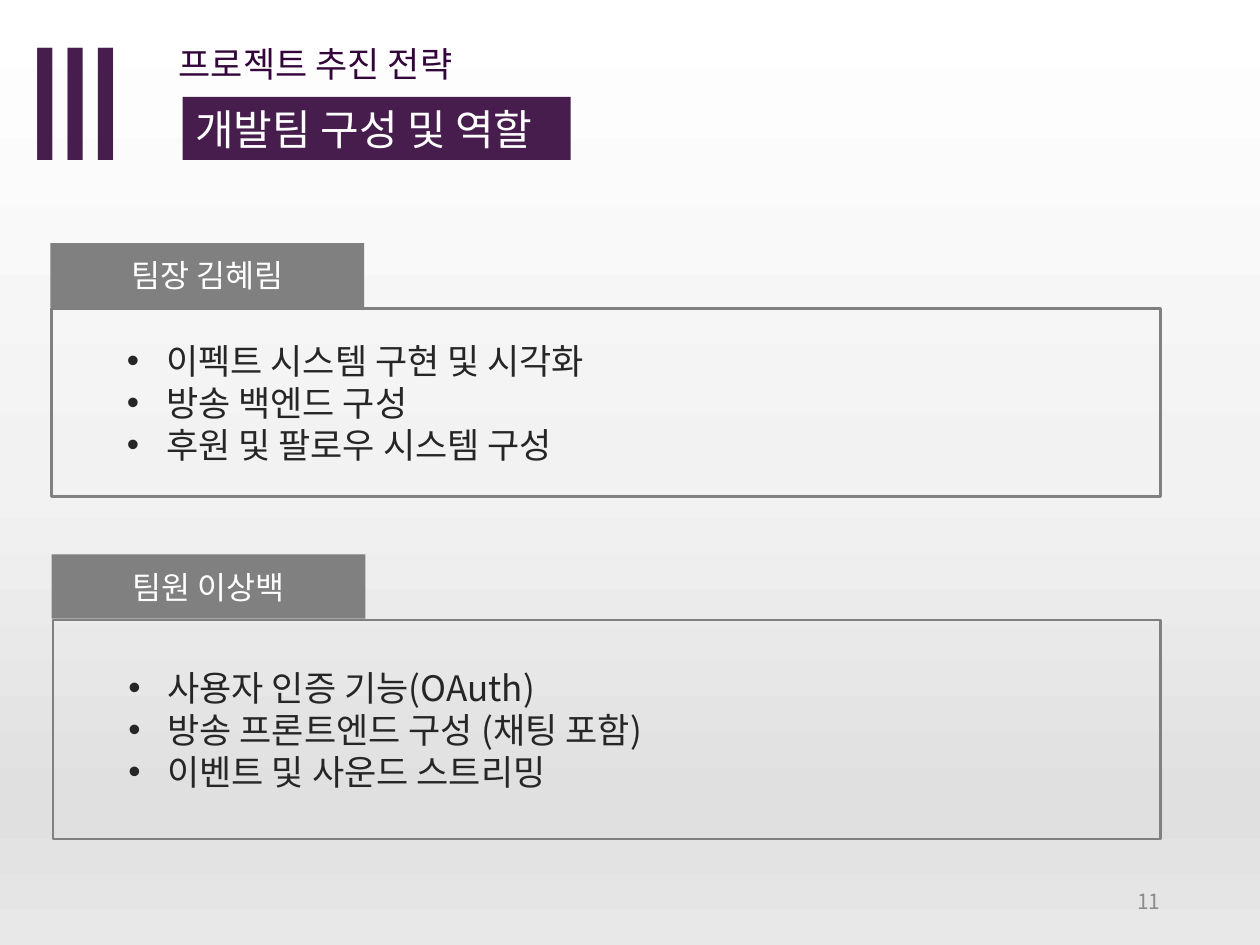
from dataclasses import dataclass

from lxml.etree import SubElement
from pptx import Presentation
from pptx.dml.color import RGBColor
from pptx.enum.shapes import MSO_SHAPE
from pptx.enum.text import MSO_ANCHOR, MSO_AUTO_SIZE, PP_ALIGN
from pptx.oxml.ns import qn
from pptx.util import Inches, Pt

NUMERAL = "Ⅲ"
SECTION = "프로젝트 추진 전략"
TITLE = "개발팀 구성 및 역할"
PAGE_NUMBER = "11"

# name, tasks, left and top of the name tab, height of the task box
MEMBERS = [
    ("팀장 김혜림",
     ["이펙트 시스템 구현 및 시각화", "방송 백엔드 구성", "후원 및 팔로우 시스템 구성"],
     0.40, 1.93, 1.49),
    ("팀원 이상백",
     ["사용자 인증 기능(OAuth)", "방송 프론트엔드 구성 (채팅 포함)", "이벤트 및 사운드 스트리밍"],
     0.41, 4.40, 1.74),
]
TAB_WIDTH, TAB_HEIGHT = 2.49, 0.51
TASKS_OFFSET = 0.52
TASKS_RIGHT = 9.21


@dataclass(frozen=True)
class Theme:
    body_font: str = "Noto Sans CJK KR"
    numeral_font: str = "Arial Narrow"
    purple: str = "461D4D"
    section: str = "33053B"
    gray: str = "808080"
    ink: str = "262626"
    page: str = "8C8C8C"
    white: str = "FFFFFF"
    numeral_size: int = 88
    title_size: int = 24
    text_size: int = 20
    name_size: int = 18
    page_size: int = 12
    backdrop: tuple = ((0, "FFFFFF"), (51, "F2F2F2"), (85, "E0E0E0"), (100, "E8E8E8"))


THEME = Theme()


def paint_backdrop(slide):
    fill = slide.background.fill
    fill.gradient()
    fill.gradient_angle = 270
    stops = slide.element.find(".//" + qn("a:gsLst"))
    for stop in list(stops):
        stops.remove(stop)
    for percent, color in THEME.backdrop:
        stop = SubElement(stops, qn("a:gs"), pos=str(percent * 1000))
        SubElement(stop, qn("a:srgbClr"), val=color)


def add_box(slide, place, fill=None, line=None):
    box = slide.shapes.add_shape(MSO_SHAPE.RECTANGLE, *map(Inches, place))
    box.shadow.inherit = False
    if fill:
        box.fill.solid()
        box.fill.fore_color.rgb = RGBColor.from_string(fill)
    else:
        box.fill.background()
    if line:
        box.line.color.rgb = RGBColor.from_string(line)
        box.line.width = Pt(1.5)
    else:
        box.line.fill.background()
    return box


def add_label(slide, place):
    return slide.shapes.add_textbox(*map(Inches, place))


def write(shape, text, size, color, font=THEME.body_font, align=PP_ALIGN.LEFT, fitted=False):
    """Fill a shape with text; a fitted shape is one unwrapped line from the top."""
    frame = shape.text_frame
    frame.text = text
    frame.word_wrap = not fitted
    frame.vertical_anchor = MSO_ANCHOR.TOP if fitted else MSO_ANCHOR.MIDDLE
    if fitted:
        frame.auto_size = MSO_AUTO_SIZE.SHAPE_TO_FIT_TEXT
    for paragraph in frame.paragraphs:
        paragraph.alignment = align
        for run in paragraph.runs:
            run.font.size = Pt(size)
            run.font.color.rgb = RGBColor.from_string(color)
            run.font.name = font
            SubElement(run.font._element, qn("a:ea"), typeface=font)


def add_bullets(shape):
    for paragraph in shape.text_frame.paragraphs:
        paragraph.level = 1
        properties = paragraph._p.get_or_add_pPr()
        properties.set("marL", str(Inches(0.81)))
        properties.set("indent", str(Inches(-0.31)))
        SubElement(properties, qn("a:buFont"), typeface="Arial")
        SubElement(properties, qn("a:buChar"), char="•")


def add_member(slide, name, tasks, left, top, height):
    tasks_left = left + 0.01
    tasks_box = add_box(
        slide, (tasks_left, top + TASKS_OFFSET, TASKS_RIGHT - tasks_left, height), line=THEME.gray)
    write(tasks_box, "\n".join(tasks), THEME.text_size, THEME.ink)
    add_bullets(tasks_box)
    name_tab = add_box(slide, (left, top, TAB_WIDTH, TAB_HEIGHT), fill=THEME.gray)
    write(name_tab, name, THEME.name_size, THEME.white, align=PP_ALIGN.CENTER)


def main():
    deck = Presentation()
    deck.slide_width, deck.slide_height = Inches(10), Inches(7.5)
    slide = deck.slides.add_slide(deck.slide_layouts[6])
    paint_backdrop(slide)

    write(add_label(slide, (0.08, 0, 1.37, 1.58)), NUMERAL,
          THEME.numeral_size, THEME.purple, font=THEME.numeral_font, fitted=True)
    write(add_label(slide, (7.06, 6.95, 2.25, 0.4)), PAGE_NUMBER,
          THEME.page_size, THEME.page, align=PP_ALIGN.RIGHT)
    write(add_label(slide, (1.32, 0.29, 2.51, 0.44)), SECTION,
          THEME.text_size, THEME.section, fitted=True)
    write(add_box(slide, (1.45, 0.77, 3.08, 0.5), fill=THEME.purple), TITLE,
          THEME.title_size, THEME.white, fitted=True)

    for member in MEMBERS:
        add_member(slide, *member)
    deck.save("out.pptx")


if __name__ == "__main__":
    main()
